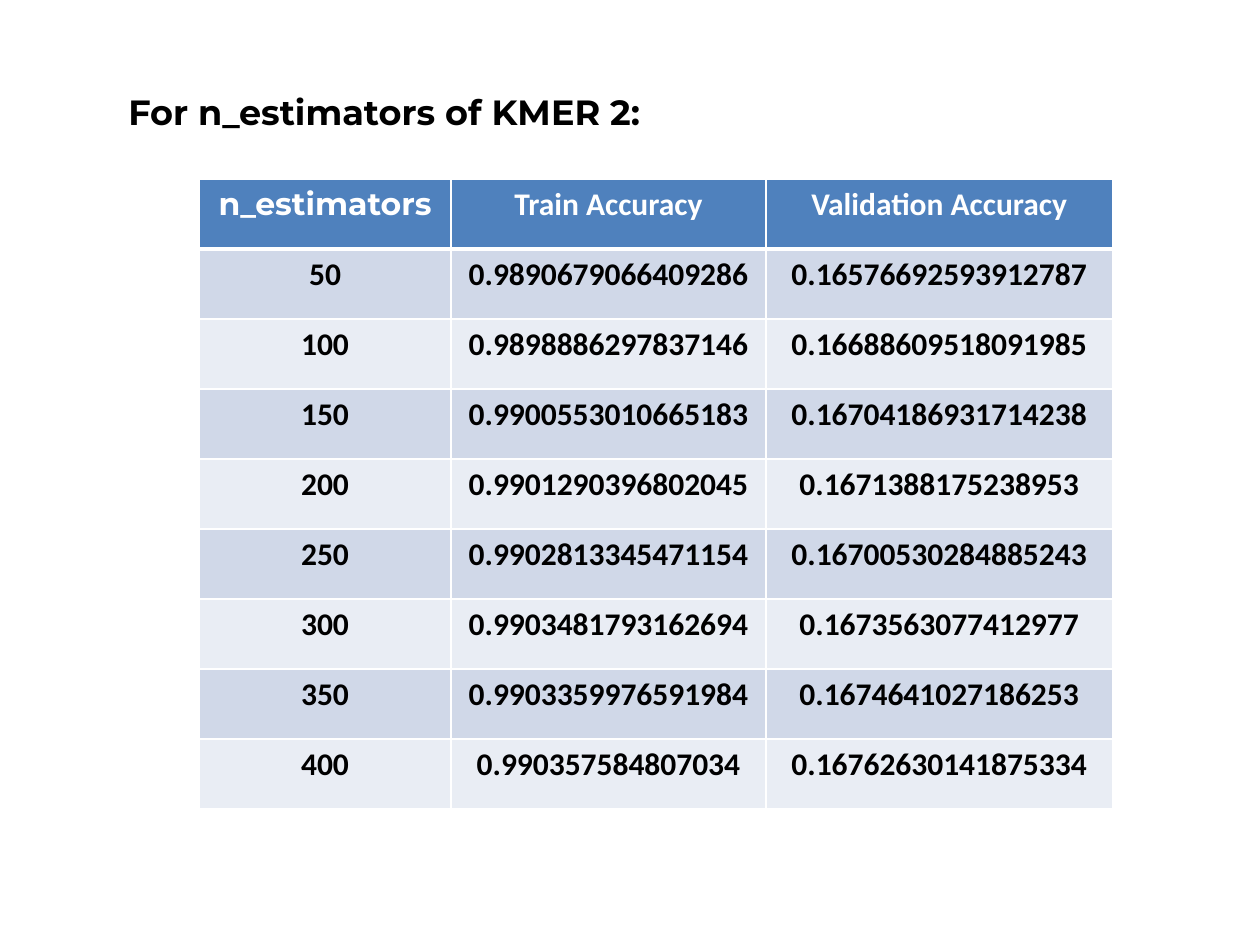
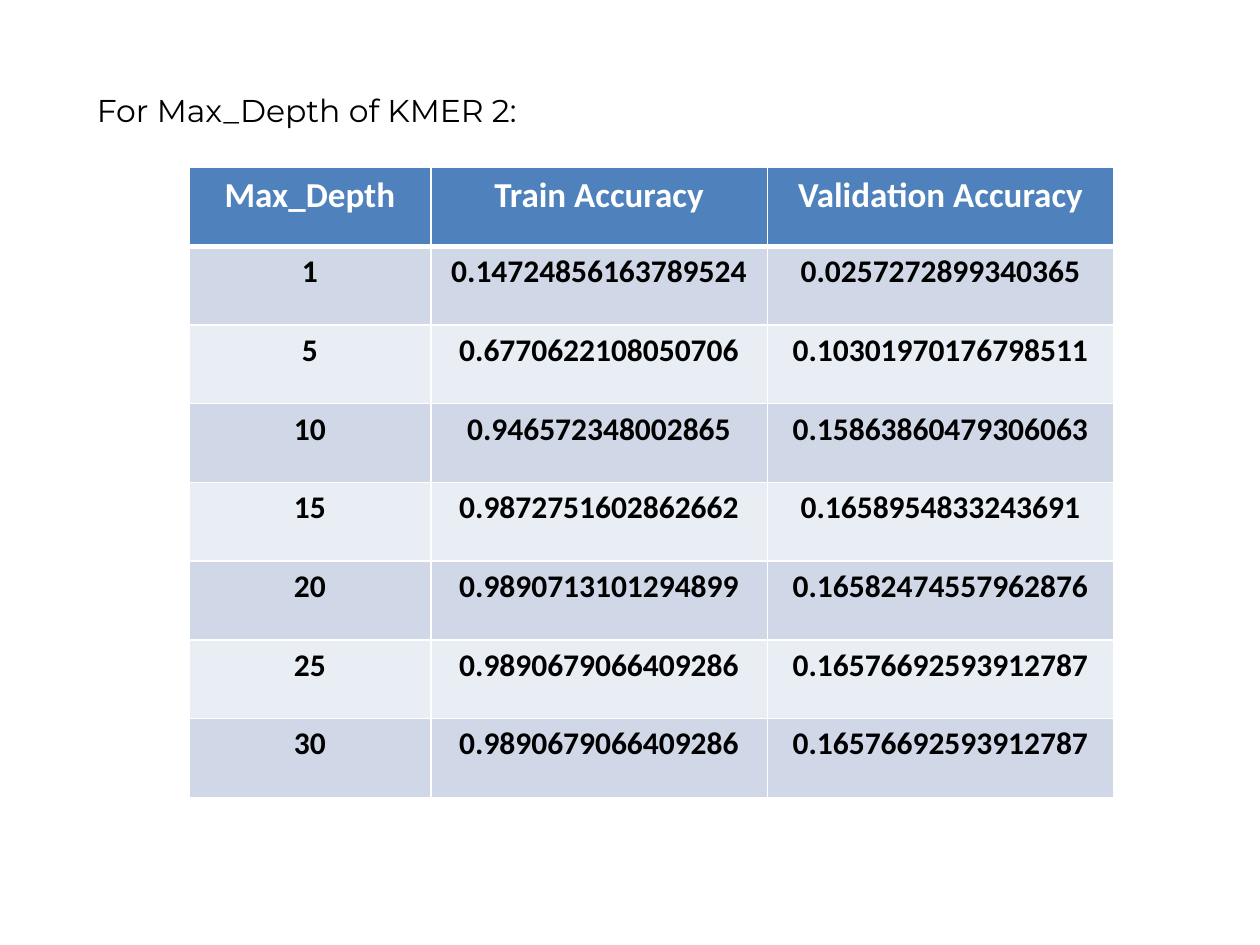
"""Build two slides of accuracy tables for the KMER 2 parameter search."""
from lxml import etree
from pptx import Presentation
from pptx.dml.color import RGBColor
from pptx.enum import text as t
from pptx.oxml import ns
from pptx.util import Inches, Pt

BLACK = RGBColor(0x00, 0x00, 0x00)
WHITE = RGBColor(0xFF, 0xFF, 0xFF)
HEADER_BLUE = RGBColor(0x4F, 0x81, 0xBD)
BANDS = (RGBColor(0xD0, 0xD8, 0xE8), RGBColor(0xE9, 0xED, 0xF4))
BODY_FONT = "Calibri"
TITLE_FONT = "Montserrat"
TABLE_HEIGHT = 5
ACCURACY_HEADERS = ("Train Accuracy", "Validation Accuracy")

ESTIMATOR_SCORES = [
    ("50", "0.9890679066409286", "0.16576692593912787"),
    ("100", "0.9898886297837146", "0.16688609518091985"),
    ("150", "0.9900553010665183", "0.16704186931714238"),
    ("200", "0.9901290396802045", "0.1671388175238953"),
    ("250", "0.9902813345471154", "0.16700530284885243"),
    ("300", "0.9903481793162694", "0.1673563077412977"),
    ("350", "0.9903359976591984", "0.1674641027186253"),
    ("400", "0.990357584807034", "0.16762630141875334"),
]
DEPTH_SCORES = [
    ("1", "0.14724856163789524", "0.0257272899340365"),
    ("5", "0.6770622108050706", "0.10301970176798511"),
    ("10", "0.946572348002865", "0.15863860479306063"),
    ("15", "0.9872751602862662", "0.1658954833243691"),
    ("20", "0.9890713101294899", "0.16582474557962876"),
    ("25", "0.9890679066409286", "0.16576692593912787"),
    ("30", "0.9890679066409286", "0.16576692593912787"),
]


def write(frame, wording, size=18, font=BODY_FONT, color=BLACK, bold=True,
          align=t.PP_ALIGN.CENTER):
    paragraph = frame.paragraphs[0]
    paragraph.alignment = align
    run = paragraph.add_run()
    run.text = wording
    run.font.size = Pt(size)
    run.font.name = font
    run.font.bold = bold
    run.font.color.rgb = color


def rule_cell(cell, top, bottom):
    properties = cell._tc.get_or_add_tcPr()
    weights = {"a:lnL": 1, "a:lnR": 1, "a:lnT": top, "a:lnB": bottom}
    for position, (side, weight) in enumerate(weights.items()):
        line = etree.Element(ns.qn(side), w=str(Pt(weight)))
        fill = etree.SubElement(line, ns.qn("a:solidFill"))
        etree.SubElement(fill, ns.qn("a:srgbClr"), val=str(WHITE))
        properties.insert(position, line)


class Deck:
    def __init__(self):
        self.presentation = Presentation()
        self.presentation.slide_width = Inches(10)
        self.presentation.slide_height = Inches(7.5)
        self.slide = None

    def add_slide(self):
        self.slide = self.presentation.slides.add_slide(
            self.presentation.slide_layouts[6])

    def title(self, wording, left, width, height, size, bold, wrap):
        box = self.slide.shapes.add_textbox(
            Inches(left), Inches(0.67), Inches(width), Inches(height))
        frame = box.text_frame
        frame.word_wrap = wrap
        frame.auto_size = t.MSO_AUTO_SIZE.SHAPE_TO_FIT_TEXT
        write(frame, wording, size=size, font=TITLE_FONT, bold=bold,
              align=t.PP_ALIGN.LEFT)

    def score_table(self, parameter, scores, left, top, widths,
                    header_size=18, parameter_font=BODY_FONT):
        rows = [(parameter, *ACCURACY_HEADERS), *scores]
        table = self.slide.shapes.add_table(
            len(rows), len(widths), Inches(left), Inches(top),
            Inches(sum(widths)), Inches(TABLE_HEIGHT)).table
        for column, width in zip(table.columns, widths):
            column.width = Inches(width)
        for r, values in enumerate(rows):
            table.rows[r].height = Inches(TABLE_HEIGHT / len(rows))
            is_header = r == 0
            for c, value in enumerate(values):
                cell = table.cell(r, c)
                cell.fill.solid()
                cell.fill.fore_color.rgb = (
                    HEADER_BLUE if is_header else BANDS[(r - 1) % 2])
                rule_cell(cell, top=3 if r == 1 else 1,
                          bottom=3 if is_header else 1)
                if is_header:
                    write(cell.text_frame, value, size=header_size, color=WHITE,
                          font=parameter_font if c == 0 else BODY_FONT)
                else:
                    write(cell.text_frame, value)


deck = Deck()

deck.add_slide()
deck.score_table("n_estimators", ESTIMATOR_SCORES, left=1.58, top=1.42,
                 widths=(2, 2.5, 2.75), parameter_font=TITLE_FONT)
deck.title("For n_estimators of KMER 2:", left=0.92, width=4.67, height=0.44,
           size=20, bold=True, wrap=True)

deck.add_slide()
deck.title("For Max_Depth of KMER 2:", left=0.67, width=3.85, height=0.4,
           size=18, bold=False, wrap=False)
deck.score_table("Max_Depth", DEPTH_SCORES, left=1.5, top=1.33,
                 widths=(1.92, 2.67, 2.75), header_size=20)

deck.presentation.save("out.pptx")
